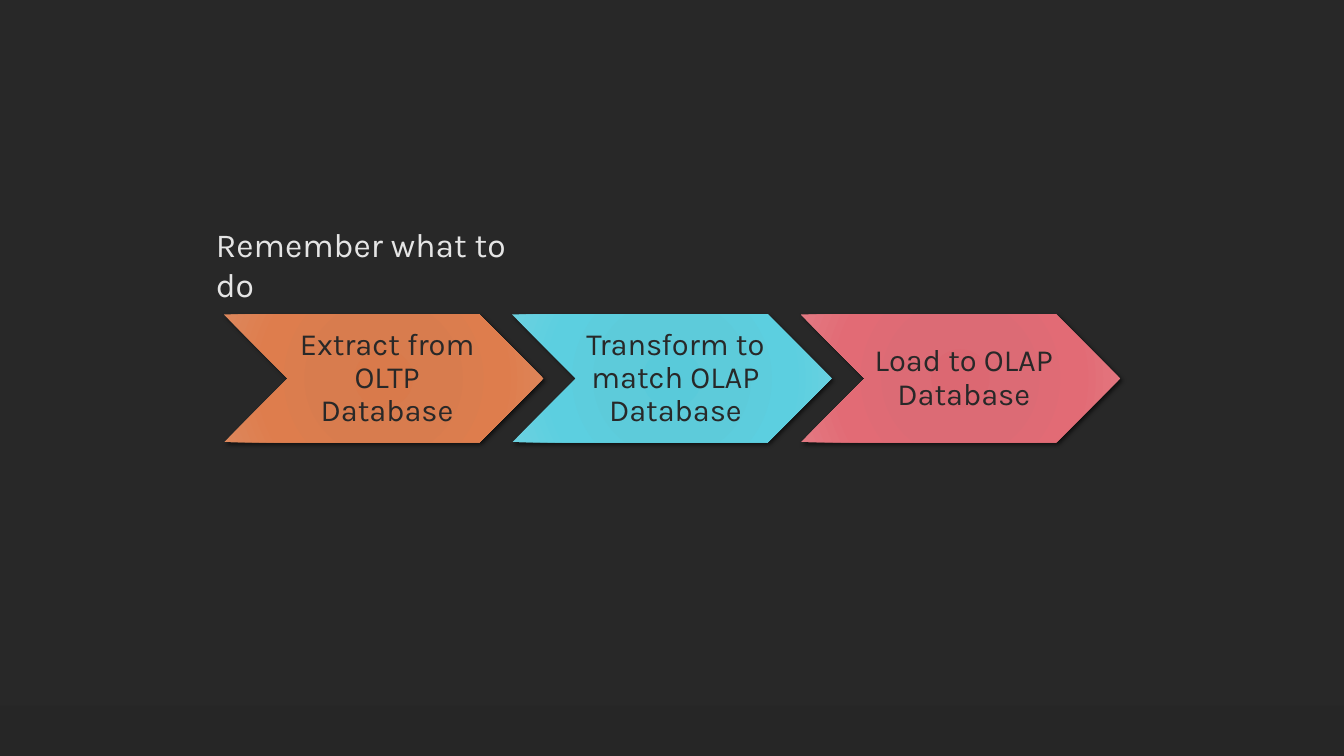
from pptx import Presentation
from pptx.dml.color import RGBColor
from pptx.enum.shapes import MSO_SHAPE as Shape
from pptx.enum.text import MSO_ANCHOR as Anchor, MSO_AUTO_SIZE as Auto, PP_ALIGN as Align
from pptx.oxml import parse_xml
from pptx.oxml.ns import nsdecls
from pptx.util import Inches, Pt

DARK, BAR, LIGHT = "282828", "262626", "E5E5E5"
STOPS = (0, 34, 70, 100)
STEPS = [
    ("Extract from OLTP Database", ("D97A4B", "D87C4E", "DE7D4D", "DD875C")),
    ("Transform to match OLAP Database", ("59CADA", "5DCBDA", "5CCFE0", "6BD1E0")),
    ("Load to OLAP Database", ("DC6872", "DC6B75", "E26B75", "E37982")),
]
LEFT, TOP, WIDE, HIGH = 2.22, 3.12, 3.17, 1.27
PITCH = 2.86


def color(code):
    return RGBColor.from_string(code)


def glow(tints):
    """Return a radial gradient fill running through the tints."""
    stops = "".join(
        f'<a:gs pos="{pos * 1000}"><a:srgbClr val="{tint}"/></a:gs>'
        for pos, tint in zip(STOPS, tints))
    return parse_xml(
        f'<a:gradFill {nsdecls("a")} rotWithShape="1"><a:gsLst>{stops}</a:gsLst>'
        '<a:path path="circle"><a:fillToRect l="100000" t="100000" '
        'r="100000" b="100000"/></a:path></a:gradFill>')


def shade():
    """Return a soft shadow cast to the lower right."""
    return parse_xml(
        f'<a:outerShdw {nsdecls("a")} blurRad="{Pt(3)}" dist="{Pt(2)}" '
        'dir="2700000" algn="ctr" rotWithShape="0"><a:srgbClr val="000000">'
        '<a:alpha val="60000"/></a:srgbClr></a:outerShdw>')


class Page:
    """Holds the slide and its text style."""

    def __init__(self, slide, face="Karla"):
        self.slide = slide
        self.face = face
        back = slide.background.fill
        back.solid()
        back.fore_color.rgb = color(DARK)

    def label(self, frame, text, size, tint, align):
        frame.text = text
        frame.word_wrap = True
        para = frame.paragraphs[0]
        para.alignment = align
        font = para.font
        font.name, font.size = self.face, Pt(size)
        font.color.rgb = color(tint)
        return para

    def shape(self, kind, x, y, w, h):
        item = self.slide.shapes.add_shape(
            kind, Inches(x), Inches(y), Inches(w), Inches(h))
        item.shadow.inherit = False
        item.line.fill.background()
        return item

    def bar(self, x, y, w, h, tint):
        item = self.shape(Shape.RECTANGLE, x, y, w, h)
        item.fill.solid()
        item.fill.fore_color.rgb = color(tint)

    def title(self, text, x, y, w, h):
        item = self.slide.shapes.title
        item.left, item.top = Inches(x), Inches(y)
        item.width, item.height = Inches(w), Inches(h)
        frame = item.text_frame
        self.label(frame, text, 24, LIGHT, Align.LEFT)
        frame.vertical_anchor = Anchor.TOP
        frame.auto_size = Auto.SHAPE_TO_FIT_TEXT

    def step(self, text, tints, x, y, w, h):
        item = self.shape(Shape.CHEVRON, x, y, w, h)
        props = item.element.spPr
        props.ln.addprevious(glow(tints))
        props.effectLst.append(shade())
        frame = item.text_frame
        frame.margin_left = Inches(0.1)
        frame.margin_top = frame.margin_right = frame.margin_bottom = Inches(0.03)
        frame.vertical_anchor = Anchor.MIDDLE
        para = self.label(frame, text, 22, DARK, Align.CENTER)
        para.line_spacing = 0.9


def main():
    deck = Presentation()
    deck.slide_width, deck.slide_height = Inches(13.33), Inches(7.5)
    page = Page(deck.slides.add_slide(deck.slide_layouts[5]))
    page.bar(0, 7, 13.33, 0.5, BAR)
    for i, (text, tints) in enumerate(STEPS):
        page.step(text, tints, LEFT + i * PITCH, TOP, WIDE, HIGH)
    page.title("Remember what to do", 2.04, 2.17, 3.27, 0.5)
    deck.save("out.pptx")


if __name__ == "__main__":
    main()
